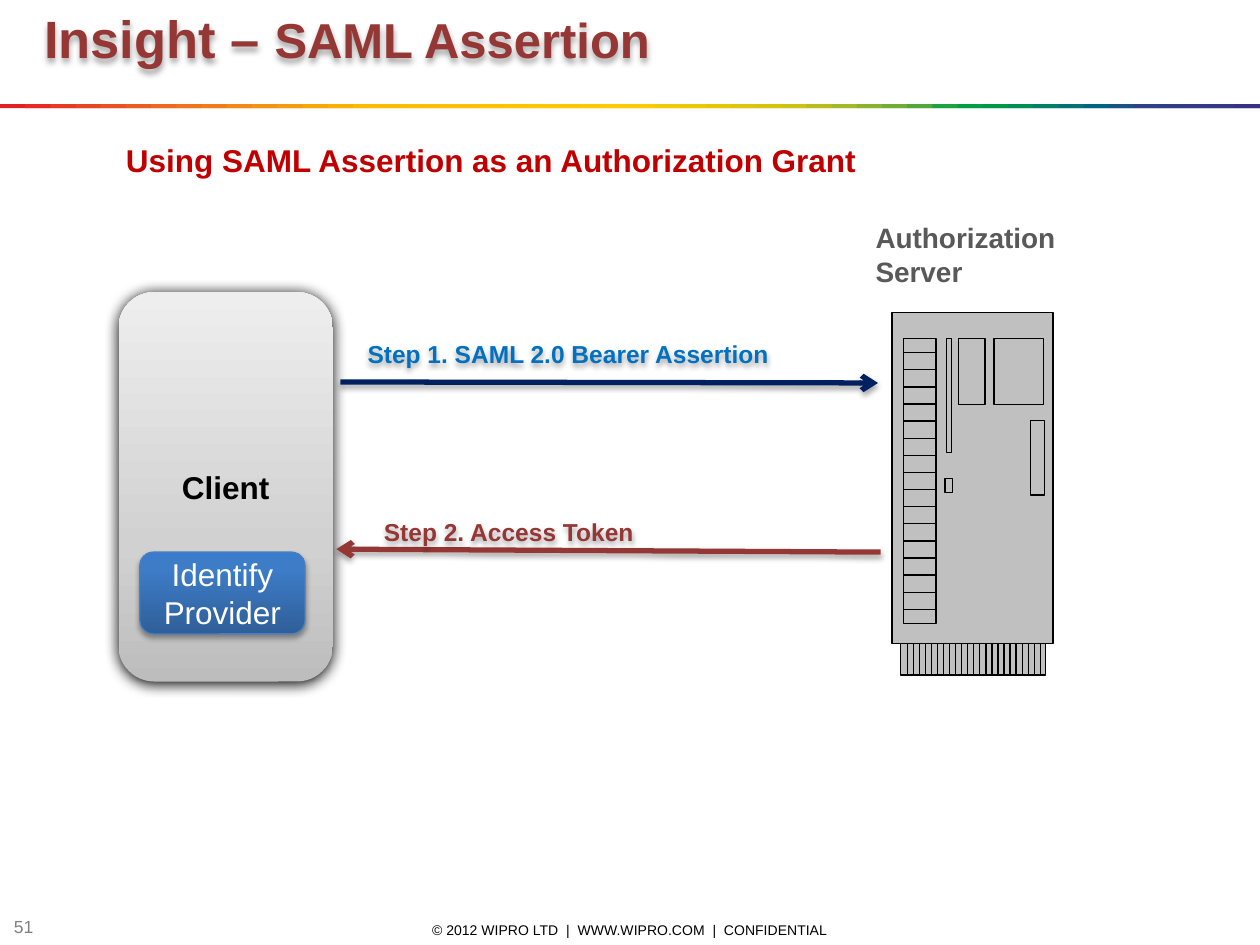
import pptx
import pptx.util
import pptx.dml.color
import pptx.enum.shapes
import pptx.enum.text
import pptx.oxml
import pptx.oxml.ns
from dataclasses import dataclass
from lxml import etree
from pptx.util import Cm


@dataclass(frozen=True)
class Theme:
    font: str = "Arial"
    black: str = "000000"
    white: str = "FFFFFF"
    gray: str = "808080"
    dark_gray: str = "595959"
    server: str = "C0C0C0"
    maroon: str = "953735"
    red: str = "C00000"
    blue: str = "0070C0"
    navy: str = "002060"
    provider_line: str = "4B7EBC"
    title: int = 30
    title_detail: int = 28
    heading: int = 18
    server_label: int = 16
    step: int = 14
    page: int = 10
    footer: int = 8


THEME = Theme()
SLIDE_WIDTH, SLIDE_HEIGHT = 25.4, 19.05

STRIPE_COLORS = """
E31E24 E42C24 E53A24 E74623 E85122 EA5D21 EC691F EE741D EF7E1A F18817
F39314 F49C0F F6A607 F8B002 FBBA00 FBBB00 FBBD00 FCBF00 FCC000 FCC200
FDC400 FDC600 FDC700 FEC900 FECB00 FBCB00 F3CA00 ECC800 E4C602 DCC50A
D5C30E CCC117 B8BC21 A3B829 8CB230 71AD36 51A73B 1DA240 009D43 009846
008C57 008068 007275 00637F 185384 2E4285 313E85 333B85 353885 393185
""".split()
STRIPE_TOP, STRIPE_HEIGHT = 2.1, 0.08

# Shadows: opacity %, blur pt, distance pt; all fall straight down
CLIENT_SHADOW = (100, 8.5, 1)
SOFT_SHADOW = (35, 3.1, 1.8)

# Gradient stops: position %, colour, from bottom to top
CLIENT_STOPS = [(0, "BDBDBD"), (35, "D1D1D1"), (100, "EEEEEE")]
PROVIDER_STOPS = [(0, "2F5F99"), (80, "3D7CC7"), (100, "3A7CCB")]

# Left, top, width, height in cm, then format
TEXTS = [
    (["© 2012 WIPRO LTD  |  WWW.WIPRO.COM  |  CONFIDENTIAL"], (8.38, 18.49, 8.64, 0.51),
     dict(size=THEME.footer, color=THEME.black, align="CENTER", anchor="MIDDLE", wrap=False)),
    (["51"], (0.03, 18.47, 0.99, 0.41),
     dict(size=THEME.page, color=THEME.gray, anchor="MIDDLE")),
    ([[("Insight – ", THEME.title), ("SAML Assertion", THEME.title_detail)]],
     (0.64, 0, 24.76, 1.55), dict(color=THEME.maroon, bold=True, shadow=SOFT_SHADOW)),
    (["Step 1. SAML 2.0 Bearer Assertion"], (7.16, 6.71, 13.06, 0.86),
     dict(size=THEME.step, color=THEME.blue, bold=True, shadow=SOFT_SHADOW)),
    (["Step 2. Access Token"], (7.49, 10.29, 12.37, 0.86),
     dict(size=THEME.step, color=THEME.maroon, bold=True, shadow=SOFT_SHADOW)),
    (["Authorization Server"], (17.4, 4.32, 4.34, 1.63),
     dict(size=THEME.server_label, color=THEME.dark_gray, bold=True)),
    (["Using SAML Assertion as an Authorization Grant"], (2.29, 2.72, 15.37, 1.02),
     dict(size=THEME.heading, color=THEME.red, bold=True, wrap=False)),
]

ARROWS = [  # start, end, colour
    ((6.86, 7.7), (17.7, 7.72), THEME.navy),
    ((17.75, 11.13), (6.78, 11.07), THEME.maroon),
]

# Server parts in cm, as left, top, right, bottom
CABINET = (17.98, 6.3, 21.23, 12.98)
FOOT = (18.16, 12.98, 21.08, 13.61)
RACK = (18.21, 6.83, 18.87, 12.57)
PANELS = [RACK, (19.08, 6.83, 19.18, 9.12), (19.05, 9.65, 19.2, 9.93),
          (19.33, 6.83, 19.86, 8.15), (20.04, 6.83, 21.03, 8.15),
          (20.78, 8.48, 21.06, 9.98)]
SHELF_COUNT, SHELF_TOP, SHELF_GAP = 16, 7.11, 0.345
FIN_COUNT, FIN_LEFT, FIN_GAP = 23, 18.29, 0.122


def rgb(color):
    return pptx.dml.color.RGBColor.from_string(color)


def add_shadow(properties, shadow):
    """Put a downward shadow, or none, in the effect list of shape properties."""
    effects = properties.find(pptx.oxml.ns.qn("a:effectLst"))
    if effects is None:
        effects = etree.SubElement(properties, pptx.oxml.ns.qn("a:effectLst"))
    if shadow:
        opacity, blur, distance = shadow
        effects.append(pptx.oxml.parse_xml(
            f'<a:outerShdw {pptx.oxml.ns.nsdecls("a")} blurRad="{pptx.util.Pt(blur)}" '
            f'dist="{pptx.util.Pt(distance)}" dir="5400000" rotWithShape="0">'
            f'<a:srgbClr val="{THEME.black}"><a:alpha val="{opacity * 1000}"/></a:srgbClr>'
            '</a:outerShdw>'))


def write_text(shape, paragraphs, *, color, size=None, bold=False, align="LEFT",
               anchor="TOP", wrap=True, shadow=None):
    """Fill a shape with paragraphs, each a string or a list of (text, size) runs."""
    frame = shape.text_frame
    frame.word_wrap = wrap
    frame.vertical_anchor = getattr(pptx.enum.text.MSO_ANCHOR, anchor)
    for index, content in enumerate(paragraphs):
        paragraph = frame.paragraphs[0] if index == 0 else frame.add_paragraph()
        paragraph.alignment = getattr(pptx.enum.text.PP_ALIGN, align)
        runs = [(content, size)] if isinstance(content, str) else content
        for text, run_size in runs:
            run = paragraph.add_run()
            run.text = text
            run.font.name = THEME.font
            run.font.size = pptx.util.Pt(run_size)
            run.font.bold = bold
            run.font.color.rgb = rgb(color)
    if shadow:
        add_shadow(shape._element.spPr, shadow)


def add_box(slide, kind, box, *, fill=None, stops=None, line=None, shadow=None):
    shape = slide.shapes.add_shape(
        getattr(pptx.enum.shapes.MSO_SHAPE, kind), *map(Cm, box))
    shape.shadow.inherit = False
    if stops:
        shape.fill.gradient()
        shape.fill.gradient_angle = 90
        stop_list = shape._element.spPr.find(".//" + pptx.oxml.ns.qn("a:gsLst"))
        stop_list[:] = [pptx.oxml.parse_xml(
            f'<a:gs {pptx.oxml.ns.nsdecls("a")} pos="{position * 1000}">'
            f'<a:srgbClr val="{color}"/></a:gs>') for position, color in stops]
    else:
        shape.fill.solid()
        shape.fill.fore_color.rgb = rgb(fill)
    if line:
        shape.line.color.rgb = rgb(line)
        shape.line.width = pptx.util.Pt(0.75)
    else:
        shape.line.fill.background()
    add_shadow(shape._element.spPr, shadow)
    return shape


def add_outline(slide, contours, *, fill=None):
    """Draw contours of cm points as one freeform; two points make an open line."""
    contours = [[(Cm(x), Cm(y)) for x, y in points] for points in contours]
    builder = slide.shapes.build_freeform(*contours[0][0])
    for index, points in enumerate(contours):
        if index:
            builder.move_to(*points[0])
        builder.add_line_segments(points[1:], close=len(points) > 2)
    shape = builder.convert_to_shape()
    shape.shadow.inherit = False
    if fill:
        shape.fill.solid()
        shape.fill.fore_color.rgb = rgb(fill)
    else:
        shape.fill.background()
    shape.line.color.rgb = rgb(THEME.black)
    shape.line.width = pptx.util.Pt(0.75)


def add_server(slide):
    left, top, right, bottom = CABINET
    foot_left, foot_top, foot_right, foot_bottom = FOOT
    add_outline(slide, [[
        (left, top), (right, top), (right, bottom), (foot_right, bottom),
        (foot_right, foot_bottom), (foot_left, foot_bottom), (foot_left, bottom),
        (left, bottom)]], fill=THEME.server)
    panels = [[(l, t), (r, t), (r, b), (l, b)] for l, t, r, b in PANELS]
    shelf_heights = [SHELF_TOP + i * SHELF_GAP for i in range(SHELF_COUNT)]
    shelves = [[(RACK[0], y), (RACK[2], y)] for y in shelf_heights]
    fin_positions = [FIN_LEFT + i * FIN_GAP for i in range(FIN_COUNT)]
    fins = [[(x, foot_top), (x, foot_bottom)] for x in fin_positions]
    foot_edge = [(foot_left, foot_top), (foot_right, foot_top)]
    add_outline(slide, panels + shelves + fins + [foot_edge])


def add_arrow(slide, start, end, color):
    arrow = slide.shapes.add_connector(
        pptx.enum.shapes.MSO_CONNECTOR.STRAIGHT, *map(Cm, start + end))
    arrow.line.color.rgb = rgb(color)
    arrow.line.width = pptx.util.Pt(3)
    etree.SubElement(arrow.line._get_or_add_ln(), pptx.oxml.ns.qn("a:tailEnd"), type="arrow")
    add_shadow(arrow._element.spPr, SOFT_SHADOW)


def main():
    presentation = pptx.Presentation()
    presentation.slide_width, presentation.slide_height = Cm(SLIDE_WIDTH), Cm(SLIDE_HEIGHT)
    slide = presentation.slides.add_slide(presentation.slide_layouts[6])

    step = SLIDE_WIDTH / len(STRIPE_COLORS)
    for index, color in enumerate(STRIPE_COLORS):
        left = index * step
        width = min(2 * step, SLIDE_WIDTH - left)
        add_box(slide, "RECTANGLE", (left, STRIPE_TOP, width, STRIPE_HEIGHT), fill=color)

    client = add_box(slide, "ROUNDED_RECTANGLE", (2.39, 5.89, 4.32, 7.85),
                     stops=CLIENT_STOPS, shadow=CLIENT_SHADOW)
    write_text(client, ["Client"], size=THEME.heading, color=THEME.black, bold=True,
               align="CENTER", anchor="MIDDLE")
    add_server(slide)
    for arrow in ARROWS:
        add_arrow(slide, *arrow)
    provider = add_box(slide, "ROUNDED_RECTANGLE", (2.82, 11.13, 3.33, 1.65),
                       stops=PROVIDER_STOPS, line=THEME.provider_line, shadow=SOFT_SHADOW)
    write_text(provider, ["Identify", "Provider"], size=THEME.heading, color=THEME.white,
               align="CENTER", anchor="MIDDLE")
    for paragraphs, box, text_format in TEXTS:
        write_text(slide.shapes.add_textbox(*map(Cm, box)), paragraphs, **text_format)
    presentation.save("out.pptx")


if __name__ == "__main__":
    main()
